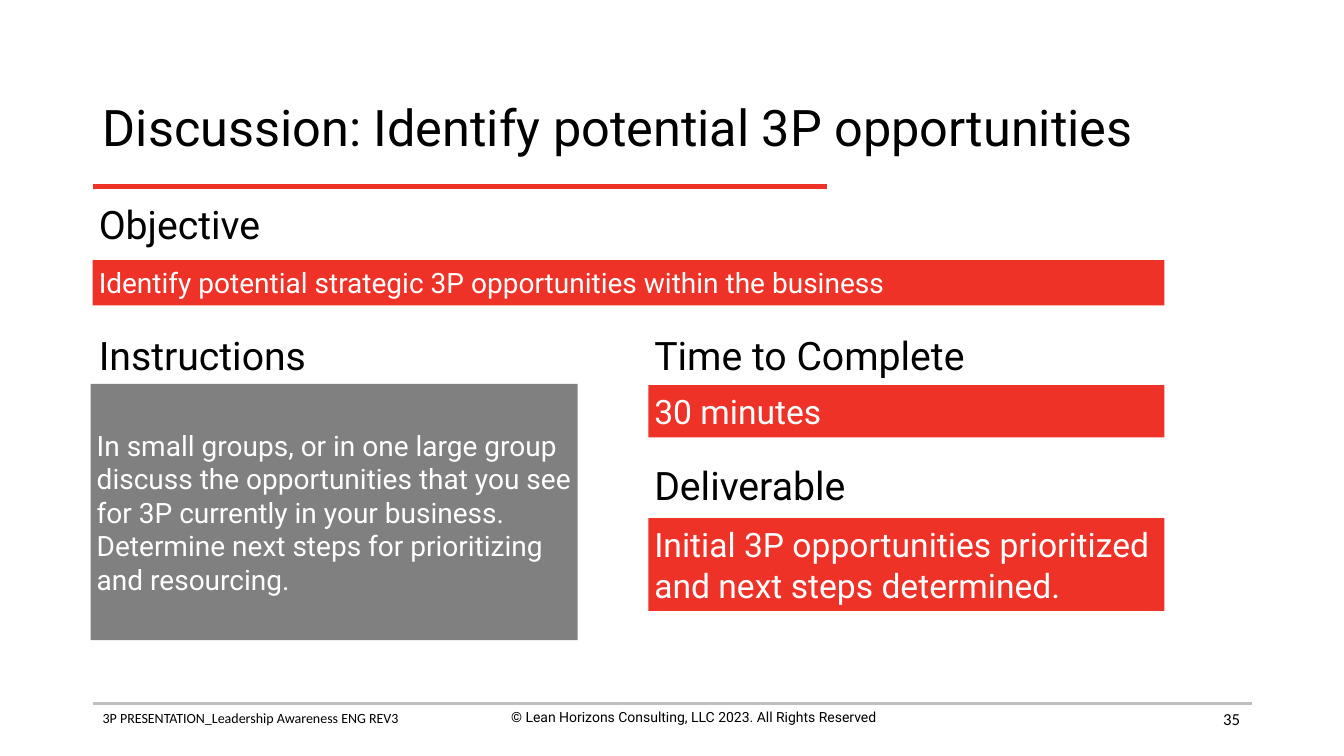
import dataclasses

import pptx
import pptx.dml.color
import pptx.enum.shapes
import pptx.enum.text
import pptx.oxml
import pptx.oxml.ns
import pptx.util

ALIGN = pptx.enum.text.PP_ALIGN
ANCHOR = pptx.enum.text.MSO_ANCHOR
AUTO_SIZE = pptx.enum.text.MSO_AUTO_SIZE
EMU_PER_PX = 9144


@dataclasses.dataclass(frozen=True)
class Theme:
    red: str = "EE3228"
    grey: str = "808080"
    rule_grey: str = "BFBFBF"
    black: str = "000000"
    white: str = "FFFFFF"
    font: str = "Roboto"
    footer_font: str = "Calibri"
    title: int = 36
    heading: int = 28
    large: int = 24
    body: int = 20
    page_number: int = 12
    footer: int = 10


THEME = Theme()


def px(length):
    return pptx.util.Emu(length * EMU_PER_PX)


def color(value):
    return pptx.dml.color.RGBColor.from_string(value)


def place(shape, box):
    shape.left, shape.top, shape.width, shape.height = map(px, box)


def write(shape, lines, size, ink, font=THEME.font, align=ALIGN.LEFT,
          anchor=ANCHOR.TOP, inset=None, wrap=True, fit=AUTO_SIZE.NONE):
    frame = shape.text_frame
    frame.text = "\n".join(lines)
    frame.word_wrap = wrap
    frame.auto_size = fit
    frame.vertical_anchor = anchor
    if inset is not None:
        frame.margin_left = frame.margin_right = px(inset)
        frame.margin_top = frame.margin_bottom = px(inset)
    for paragraph in frame.paragraphs:
        paragraph.alignment = align
        paragraph.font.name = font
        paragraph.font.size = pptx.util.Pt(size)
        paragraph.font.color.rgb = color(ink)


def add_rule(page, left, top, width, ink, weight):
    rule = page.shapes.add_connector(
        pptx.enum.shapes.MSO_CONNECTOR.STRAIGHT,
        px(left), px(top), px(left + width), px(top))
    rule.line.color.rgb = color(ink)
    rule.line.width = pptx.util.Pt(weight)
    properties = rule._element.find(pptx.oxml.ns.qn("p:spPr"))
    properties.append(pptx.oxml.parse_xml(
        f'<a:effectLst {pptx.oxml.ns.nsdecls("a")}/>'))


def add_footer(page, box):
    left, top, width, height = box
    add_rule(page, left, top, width, THEME.rule_grey, 2)
    items = [
        ("3P PRESENTATION_Leadership Awareness ENG REV3",
         (left, top + 1, 456, height), THEME.footer, THEME.footer_font,
         ALIGN.LEFT, ANCHOR.TOP),
        ("© Lean Horizons Consulting, LLC 2023. All Rights Reserved",
         (left + 368, top, 456, height), THEME.footer, THEME.font,
         ALIGN.CENTER, ANCHOR.TOP),
        ("35", (left + width - 302, top - 5, 300, 40), THEME.page_number,
         THEME.footer_font, ALIGN.RIGHT, ANCHOR.MIDDLE),
    ]
    for text, place_box, size, font, align, anchor in items:
        label = page.shapes.add_textbox(*map(px, place_box))
        write(label, [text], size, THEME.black, font, align, anchor)


def add_title(page, box, text):
    left, top, width, height = box
    title = page.shapes.title
    place(title, box)
    write(title, [text], THEME.title, THEME.black, anchor=ANCHOR.MIDDLE)
    title.text_frame.paragraphs[0].line_spacing = 0.9
    add_rule(page, left, top + height + 1, 728, THEME.red, 3)


def add_heading(page, box, text):
    heading = page.shapes.add_textbox(*map(px, box))
    write(heading, [text], THEME.heading, THEME.black, inset=6,
          wrap=False, fit=AUTO_SIZE.SHAPE_TO_FIT_TEXT)


def add_panel(page, box, lines, size, fill):
    panel = page.shapes.add_shape(
        pptx.enum.shapes.MSO_SHAPE.RECTANGLE, *map(px, box))
    panel.shadow.inherit = False
    panel.fill.solid()
    panel.fill.fore_color.rgb = color(fill)
    panel.line.fill.background()
    write(panel, lines, size, THEME.white, anchor=ANCHOR.MIDDLE, inset=6)


def add_discussion(page, box):
    left, top, width, height = box
    right = left + 551
    column = width - 551
    sections = [
        ("Objective", (left, top, 175, 58), (left, top + 65, width, 45),
         ["Identify potential strategic 3P opportunities within the business"],
         THEME.body, THEME.red),
        ("Instructions", (left, top + 130, 221, 58),
         (left - 2, top + 188, 483, height - 188),
         ["In small groups, or in one large group discuss the opportunities "
          "that you see for 3P currently in your business.",
          "Determine next steps for prioritizing and resourcing."],
         THEME.body, THEME.grey),
        ("Time to Complete", (right, top + 130, 325, 58),
         (right, top + 189, column, 52),
         ["30 minutes"], THEME.large, THEME.red),
        ("Deliverable", (right, top + 259, 207, 58),
         (right, top + 321, column, 92),
         ["Initial 3P opportunities prioritized and next steps determined."],
         THEME.large, THEME.red),
    ]
    for heading, heading_box, panel_box, lines, size, fill in sections:
        add_heading(page, heading_box, heading)
        add_panel(page, panel_box, lines, size, fill)


def main():
    deck = pptx.Presentation()
    deck.slide_width, deck.slide_height = px(1333), px(750)
    page = deck.slides.add_slide(deck.slide_layouts.get_by_name("Title Only"))
    page.background.fill.solid()
    page.background.fill.fore_color.rgb = color(THEME.white)
    add_footer(page, (92, 698, 1150, 44))
    add_title(page, (92, 74, 1150, 110),
              "Discussion: Identify potential 3P opportunities")
    add_discussion(page, (92, 193, 1063, 442))
    deck.save("out.pptx")


if __name__ == "__main__":
    main()
